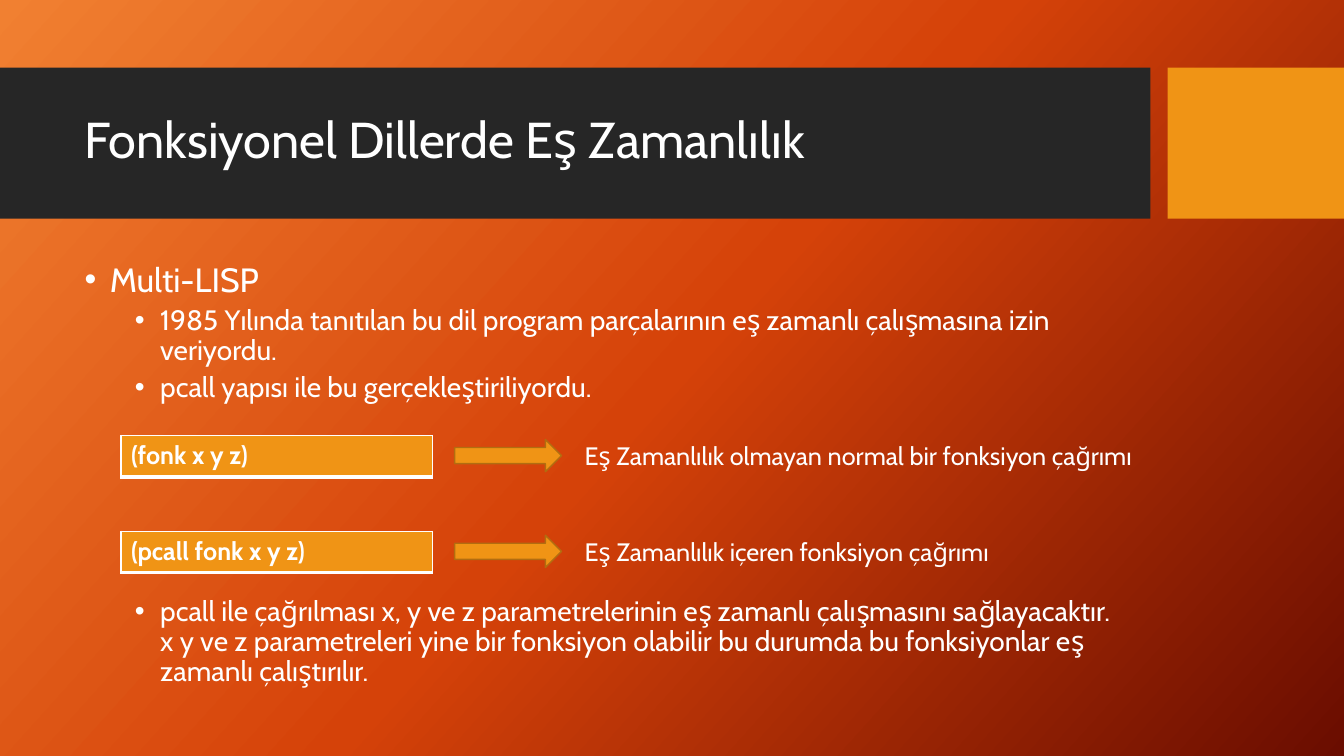
from copy import deepcopy

from lxml import etree
from pptx import Presentation
from pptx.dml.color import RGBColor
from pptx.enum.shapes import MSO_SHAPE
from pptx.enum.text import MSO_ANCHOR
from pptx.oxml.ns import qn
from pptx.util import Inches, Pt

RECTANGLE = MSO_SHAPE.RECTANGLE
RIGHT_ARROW = MSO_SHAPE.RIGHT_ARROW
MIDDLE = MSO_ANCHOR.MIDDLE

WHITE = RGBColor(0xFF, 0xFF, 0xFF)
CHARCOAL = RGBColor(0x26, 0x26, 0x26)
AMBER = RGBColor(0xF0, 0x94, 0x15)
DARK_AMBER = RGBColor(0xB2, 0x6D, 0x10)
BACKGROUND_STOPS = [
    (0, RGBColor(0xF1, 0x80, 0x31)),
    (0.5, RGBColor(0xD5, 0x42, 0x09)),
    (1, RGBColor(0x6A, 0x0D, 0x00)),
]
BACKGROUND_ANGLE = 42

FONT = "Cabin"
BORDER_WIDTHS = {"a:lnL": 1, "a:lnR": 1, "a:lnT": 1, "a:lnB": 3}

TITLE = "Fonksiyonel Dillerde Eş Zamanlılık"
# Text, size, left indent in inches, space before in points
BULLETS = [
    ("Multi-LISP", 24, 0.25, 10),
    ("1985 Yılında tanıtılan bu dil program parçalarının eş zamanlı "
     "çalışmasına izin veriyordu.", 20, 0.75, 5),
    ("pcall yapısı ile bu gerçekleştiriliyordu.", 20, 0.75, 5),
    ("pcall ile çağrılması x, y ve z parametrelerinin eş zamanlı çalışmasını "
     "sağlayacaktır. x y ve z parametreleri yine bir fonksiyon olabilir bu "
     "durumda bu fonksiyonlar eş zamanlı çalıştırılır.", 20, 0.75, 138),
]
# Code, explanation, top, explanation width
CALLS = [
    ("(fonk x y z)", "Eş Zamanlılık olmayan normal bir fonksiyon çağrımı",
     4.32, 6.01),
    ("(pcall fonk x y z)", "Eş Zamanlılık içeren fonksiyon çağrımı",
     5.27, 4.53),
]


def write(paragraph, text, size, bold=False):
    run = paragraph.add_run()
    run.text = text
    formats = {"name": FONT, "size": Pt(size), "bold": bold}
    for attribute, value in formats.items():
        setattr(run.font, attribute, value)
    run.font.color.rgb = WHITE


def add_text_frame(slide, left, top, width, height, wrap=True):
    box = slide.shapes.add_textbox(
        Inches(left), Inches(top), Inches(width), Inches(height))
    box.text_frame.word_wrap = wrap
    return box.text_frame


def add_solid(slide, kind, left, top, width, height, fill, line=None):
    shape = slide.shapes.add_shape(
        kind, Inches(left), Inches(top), Inches(width), Inches(height))
    shape.shadow.inherit = False
    shape.fill.solid()
    shape.fill.fore_color.rgb = fill
    if line is None:
        shape.line.fill.background()
    else:
        shape.line.color.rgb = line
        shape.line.width = Pt(1)


def paint_background(slide):
    fill = slide.background.fill
    fill.gradient()
    fill.gradient_angle = 360 - BACKGROUND_ANGLE
    stop_list = slide.element.xpath(".//p:bg//a:gsLst")[0]
    stop_list.append(deepcopy(stop_list[0]))
    for stop, (position, color) in zip(fill.gradient_stops, BACKGROUND_STOPS):
        stop.position = position
        stop.color.rgb = color


def add_header(slide, top, height):
    add_solid(slide, RECTANGLE, 0, top, 11.41, height, CHARCOAL)
    add_solid(slide, RECTANGLE, 11.58, top, 1.75, height, AMBER)
    frame = add_text_frame(slide, 0.74, top + 0.15, 10.51, 1.18)
    frame.vertical_anchor = MIDDLE
    frame.paragraphs[0].line_spacing = 0.9
    write(frame.paragraphs[0], TITLE, 36)


def add_bullets(slide, left, top, width, height):
    frame = add_text_frame(slide, left, top, width, height)
    for index, (text, size, indent, space_before) in enumerate(BULLETS):
        paragraph = frame.add_paragraph() if index else frame.paragraphs[0]
        paragraph.line_spacing = 0.9
        paragraph.space_before = Pt(space_before)
        if indent > 0.25:
            paragraph.level = 1
        properties = paragraph._p.get_or_add_pPr()
        properties.set("marL", str(Inches(indent)))
        properties.set("indent", str(-Inches(0.25)))
        etree.SubElement(properties, qn("a:buFont"), typeface="Arial")
        etree.SubElement(properties, qn("a:buChar"), char="•")
        write(paragraph, text, size)


def add_code_cell(slide, code, left, top, width, height):
    table = slide.shapes.add_table(
        1, 1, Inches(left), Inches(top), Inches(width), Inches(height)).table
    cell = table.cell(0, 0)
    write(cell.text_frame.paragraphs[0], code, 18, bold=True)
    cell.fill.solid()
    cell.fill.fore_color.rgb = AMBER
    # Borders come before the fill in the cell properties
    properties = cell._tc.get_or_add_tcPr()
    for index, (side, points) in enumerate(BORDER_WIDTHS.items()):
        border = etree.Element(qn(side), w=str(Pt(points)))
        solid = etree.SubElement(border, qn("a:solidFill"))
        etree.SubElement(solid, qn("a:srgbClr"), val=str(WHITE))
        properties.insert(index, border)


def add_call(slide, code, explanation, left, top, text_width):
    add_code_cell(slide, code, left, top, 3.09, 0.41)
    add_solid(slide, RIGHT_ARROW, left + 3.31, top + 0.04, 1.06, 0.32,
              AMBER, DARK_AMBER)
    frame = add_text_frame(slide, left + 4.5, top, text_width, 0.4, wrap=False)
    write(frame.paragraphs[0], explanation, 18)


def main():
    presentation = Presentation()
    presentation.slide_width = Inches(13.33)
    presentation.slide_height = Inches(7.5)
    slide = presentation.slides.add_slide(presentation.slide_layouts[6])

    paint_background(slide)
    add_header(slide, 0.67, 1.5)
    add_bullets(slide, 0.74, 2.56, 10.51, 4.42)
    for code, explanation, top, text_width in CALLS:
        add_call(slide, code, explanation, 1.2, top, text_width)

    presentation.save("out.pptx")


if __name__ == "__main__":
    main()
